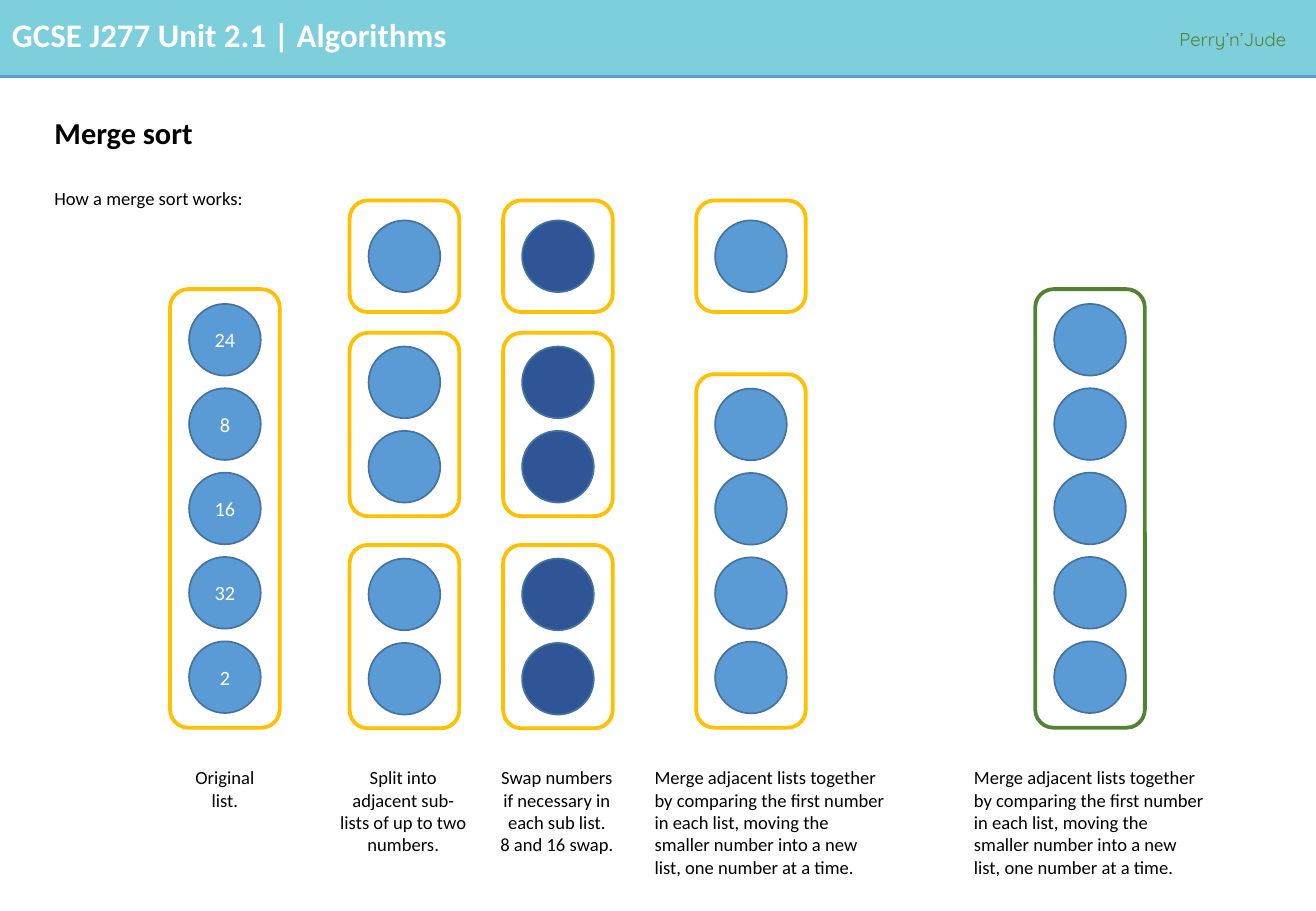
from dataclasses import dataclass

from lxml.etree import SubElement
from pptx import Presentation
from pptx.dml.color import RGBColor
from pptx.enum.shapes import MSO_CONNECTOR as Connector
from pptx.enum.shapes import MSO_SHAPE as Preset
from pptx.enum.text import MSO_ANCHOR as Anchor
from pptx.enum.text import PP_ALIGN as Align
from pptx.oxml.ns import qn
from pptx.util import Pt


@dataclass(frozen=True)
class Theme:
    band: str = "7CCFDB"
    number: str = "5B9BD5"
    swapped: str = "2F5597"
    number_edge: str = "43739E"
    list_edge: str = "FFC000"
    sorted_edge: str = "548235"
    ink: str = "000000"
    light: str = "FFFFFF"
    font: str = "Calibri"
    mark_font: str = "Quicksand"
    banner_size: float = 19.5
    title_size: float = 18
    number_size: float = 12
    body_size: float = 11
    thick: float = 2.25
    thin: float = 1


THEME = Theme()
WIDTH, HEIGHT = 780, 540
LIST_WIDTH, NUMBER_SIZE, NUMBER_PITCH = 65, 42.5, 50
CAPTION_TOP = 450.7

# Each list is (top, height, how many numbers).
WHOLE = [(171.4, 260, 5)]
SPLIT = [(118.8, 66.2, 1), (197.3, 108.7, 2), (323, 108.7, 2)]
MERGED = [(118.8, 66.2, 1), (221.8, 209.6, 4)]
MERGE_CAPTION = ("Merge adjacent lists together by comparing the first number in each list, "
                 "moving the smaller number into a new list, one number at a time.")

# Each stage: list left, lists, caption left, caption width, caption, options.
STAGES = [
    (100.8, WHOLE, 100.8, 65, "Original list.", {"values": ["24", "8", "16", "32", "2"]}),
    (207.2, SPLIT, 193.7, 90.7, "Split into adjacent sub-lists of up to two numbers.", {}),
    (298.2, SPLIT, 288, 84.2,
     "Swap numbers if necessary in each sub list.\n8 and 16 swap.", {"fill": THEME.swapped}),
    (412.6, MERGED, 380.9, 152, MERGE_CAPTION, {"align": Align.LEFT}),
    (613.6, WHOLE, 570.2, 152, MERGE_CAPTION,
     {"align": Align.LEFT, "edge": THEME.sorted_edge}),
]


def color(value):
    return RGBColor.from_string(value)


def write(frame, text, size=THEME.body_size, ink=THEME.ink, font=THEME.font, bold=False,
          align=Align.LEFT, anchor=Anchor.TOP, wrap=True, spacing=None):
    frame.word_wrap = wrap
    frame.vertical_anchor = anchor
    for index, line in enumerate(text.split("\n")):
        paragraph = frame.add_paragraph() if index else frame.paragraphs[0]
        paragraph.alignment = align
        paragraph.line_spacing = spacing
        run = paragraph.add_run()
        run.text = line
        run.font.size = Pt(size)
        run.font.name = font
        run.font.bold = bold
        run.font.color.rgb = color(ink)


def add_text(slide, box, text, **style):
    shape = slide.shapes.add_textbox(*map(Pt, box))
    write(shape.text_frame, text, **style)


def add_preset(slide, preset, box, fill=None, edge=None, weight=THEME.thin):
    shape = slide.shapes.add_shape(preset, *map(Pt, box))
    shape.shadow.inherit = False
    if fill:
        shape.fill.solid()
        shape.fill.fore_color.rgb = color(fill)
    else:
        shape.fill.background()
    if edge:
        shape.line.color.rgb = color(edge)
        shape.line.width = Pt(weight)
    else:
        shape.line.fill.background()
    return shape


def add_banner(slide, box):
    left, top, width, height = box
    bottom = top + height
    add_preset(slide, Preset.RECTANGLE, box, fill=THEME.band)
    rule = slide.shapes.add_connector(
        Connector.STRAIGHT, Pt(left), Pt(bottom), Pt(left + width), Pt(bottom))
    rule.line.color.rgb = color(THEME.number)
    rule.line.width = Pt(THEME.thick)
    SubElement(rule.element.spPr, qn("a:effectLst"))
    add_text(slide, (left, top + 5, 682, 31), "GCSE J277 Unit 2.1 | Algorithms",
             size=THEME.banner_size, ink=THEME.light, bold=True)
    add_text(slide, (left + width - 88, top + 12.2, 88, 21), "Perry’n’Jude",
             ink=THEME.sorted_edge, font=THEME.mark_font, wrap=False, spacing=1.07)


def add_heading(slide, box):
    left, top, width, height = box
    add_text(slide, (left, top, width, 40), "Merge sort", size=THEME.title_size,
             bold=True, anchor=Anchor.MIDDLE, spacing=0.9)
    add_text(slide, (left, top + height - 21, 150, 21), "How a merge sort works:")


def add_list(slide, box, count, values, fill, edge):
    """Draw an outlined list with its numbers centred in the box."""
    left, top, width, height = box
    add_preset(slide, Preset.ROUNDED_RECTANGLE, box, edge=edge, weight=THEME.thick)
    number_left = left + (width - NUMBER_SIZE) / 2
    first_top = top + (height - NUMBER_SIZE - NUMBER_PITCH * (count - 1)) / 2
    for index in range(count):
        number_box = (number_left, first_top + NUMBER_PITCH * index, NUMBER_SIZE, NUMBER_SIZE)
        circle = add_preset(slide, Preset.OVAL, number_box, fill, THEME.number_edge)
        if values:
            write(circle.text_frame, values[index], size=THEME.number_size,
                  ink=THEME.light, align=Align.CENTER, anchor=Anchor.MIDDLE)


def add_stage(slide, left, lists, caption_left, caption_width, caption, values=None,
              fill=THEME.number, edge=THEME.list_edge, align=Align.CENTER):
    for top, height, count in lists:
        add_list(slide, (left, top, LIST_WIDTH, height), count, values, fill, edge)
    add_text(slide, (caption_left, CAPTION_TOP, caption_width, 74), caption, align=align)


def main():
    presentation = Presentation()
    presentation.slide_width, presentation.slide_height = Pt(WIDTH), Pt(HEIGHT)
    slide = presentation.slides.add_slide(presentation.slide_layouts[6])
    add_banner(slide, (0, 0, WIDTH, 45.4))
    add_heading(slide, (25.2, 59.8, 727, 68.5))
    for *stage, options in STAGES:
        add_stage(slide, *stage, **options)
    presentation.save("out.pptx")


if __name__ == "__main__":
    main()
